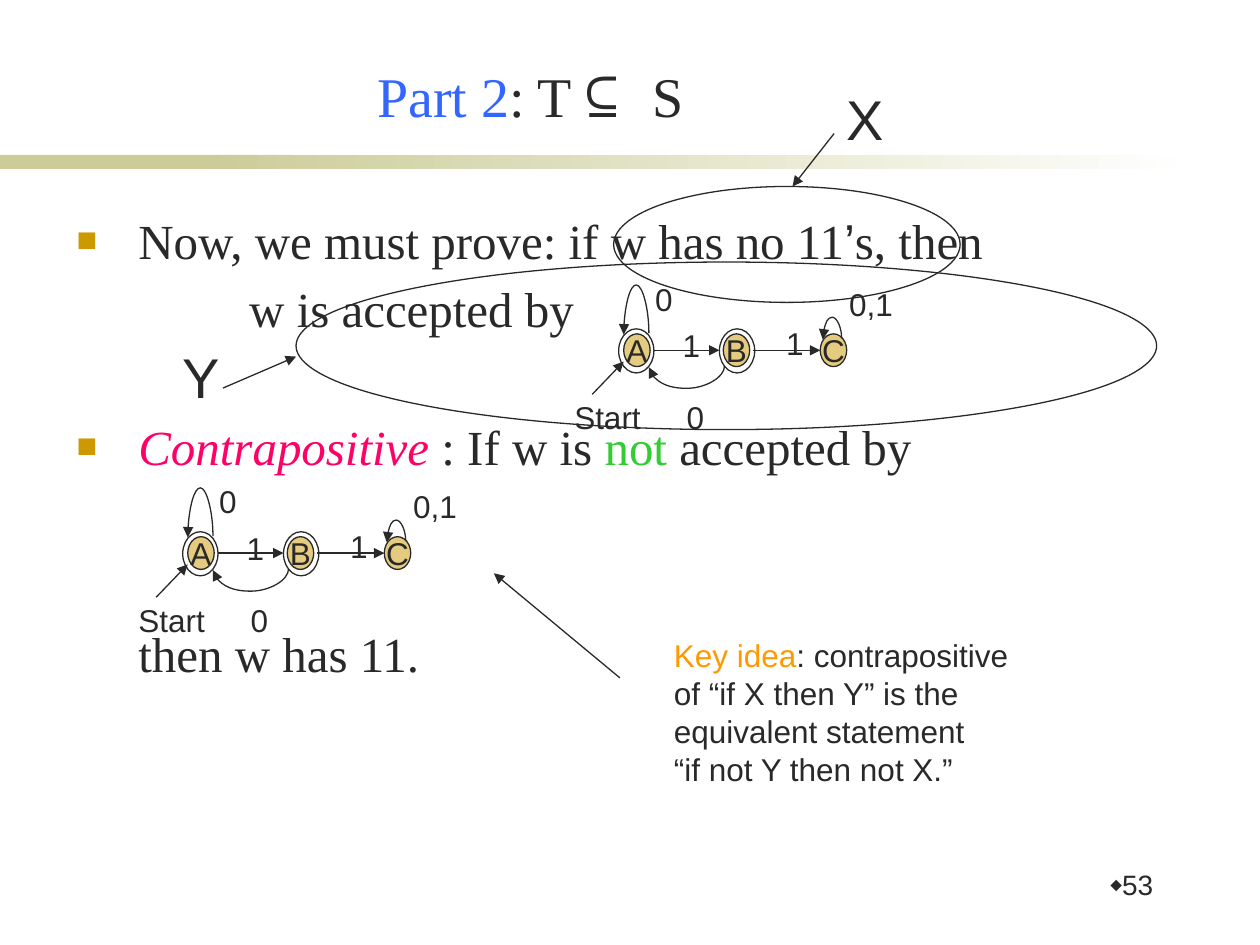
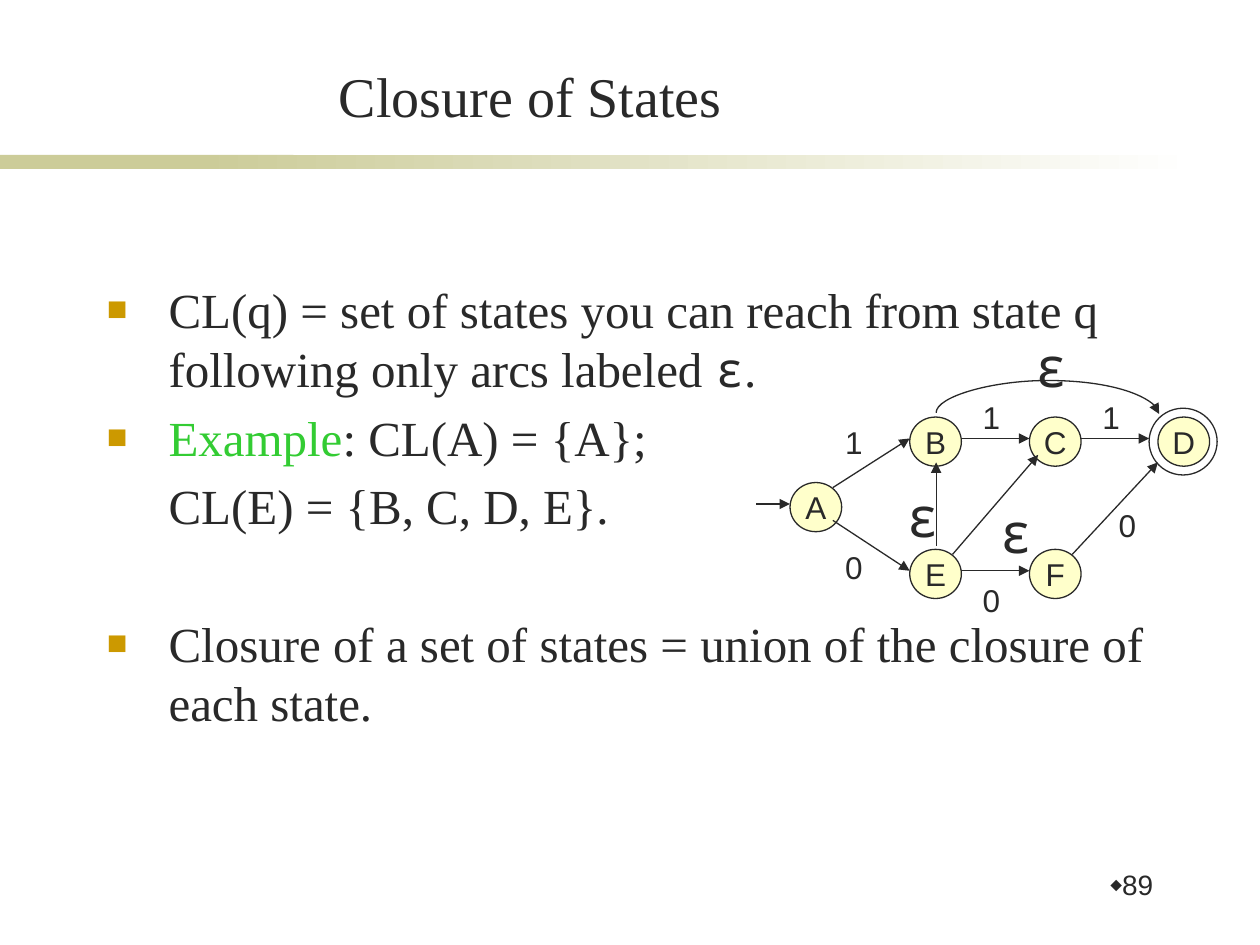
from lxml import etree
from pptx import Presentation
from pptx.dml.color import RGBColor
from pptx.enum import shapes as sh, text as tx
from pptx.oxml.ns import qn
from pptx.util import Inches, Pt

INK = RGBColor(0x29, 0x29, 0x29)
WHITE = RGBColor(0xFF, 0xFF, 0xFF)
SAND = RGBColor(0xCC, 0xCC, 0x99)
GOLD = RGBColor(0xCC, 0x99, 0x00)
CREAM = RGBColor(0xFF, 0xFF, 0x99)
BLUE = RGBColor(0x33, 0x66, 0xFF)
PINK = RGBColor(0xFF, 0x00, 0x66)
GREEN = RGBColor(0x33, 0xCC, 0x33)
AMBER = RGBColor(0xFF, 0x99, 0x00)
SERIF, SANS, MONO = "Times New Roman", "Arial", "Noto Sans Mono"
GAP, LINE = 5.6, 39.4  # space before a paragraph, and its full pitch
HANG = 0.49


def write(frame, paras, size, face=SANS, bullet=None):
    """Fill a frame; a paragraph is (runs, space before, left margin, bulleted),
    a run is (text, colour, font), where the last two may be left out."""
    for i, (runs, gap, left, dot) in enumerate(paras):
        par = frame.paragraphs[0] if i == 0 else frame.add_paragraph()
        par.space_before = Pt(gap)
        props = par._p.get_or_add_pPr()
        props.set("marL", str(Inches(left)))
        props.set("indent", str(Inches(-left if dot else 0)))
        if dot:
            char, hue, share = bullet
            tint = etree.SubElement(props, qn("a:buClr"))
            etree.SubElement(tint, qn("a:srgbClr"), val=str(hue))
            etree.SubElement(props, qn("a:buSzPct"), val=str(share * 1000))
            etree.SubElement(props, qn("a:buFont"), typeface=SANS)
            etree.SubElement(props, qn("a:buChar"), char=char)
        par.font.size, par.font.name = Pt(size), face
        par.font.color.rgb = INK
        for words, *look in runs:
            run = par.add_run()
            run.text = words
            if look:
                run.font.color.rgb = look[0]
                run.font.italic = True if look[0] == PINK else None
            if len(look) > 1:
                run.font.name = look[1]


def link(slide, x0, y0, x1, y1, bend=0):
    """Draw an arrow; a bend bows it downwards (or upwards if negative)."""
    kind = sh.MSO_CONNECTOR.CURVE if bend else sh.MSO_CONNECTOR.STRAIGHT
    arrow = slide.shapes.add_connector(
        kind, Inches(x0), Inches(y0), Inches(x1), Inches(y1))
    arrow.line.color.rgb, arrow.line.width = INK, Pt(0.75)
    etree.SubElement(arrow.line._get_or_add_ln(), qn("a:tailEnd"), type="triangle")
    props = arrow._element.spPr
    etree.SubElement(props, qn("a:effectLst"))
    if bend:
        # A thin upright connector, turned a quarter to lie flat
        thin, span = 0.01, abs(x1 - x0)
        form = props.find(qn("a:xfrm"))
        form.attrib.pop("flipH", None)
        form.set("rot", "5400000")
        if x0 < x1:
            form.set("flipV", "1")
        arrow.left, arrow.top = Inches((x0 + x1 - thin) / 2), Inches(y0 - span / 2)
        arrow.width, arrow.height = Inches(thin), Inches(span)
        geom = props.find(qn("a:prstGeom"))
        guides = geom.find(qn("a:avLst"))
        if guides is None:
            guides = etree.SubElement(geom, qn("a:avLst"))
        etree.SubElement(guides, qn("a:gd"), name="adj1",
                         fmla=f"val {round(bend / thin * 100000)}")


deck = Presentation()
deck.slide_width, deck.slide_height = Inches(10), Inches(7.5)
proof, close = [deck.slides.add_slide(deck.slide_layouts[6]) for _ in range(2)]

# Bands, title, body and page number
pages = [
    (proof, "53",
     [("Part 2", BLUE), (": T ",), ("⊆ ", INK, MONO), ("S",)],
     (0.51, 1.62, 8.9, 4.8),
     [([("Now, we must prove: if w has no 11",), ("’", INK, SANS), ("s, then",)],
       0, HANG, True),
      ([("w is accepted by",)], GAP, 1.37, False),
      ([("Contrapositive ", PINK), (": If w is ",), ("not", GREEN),
        (" accepted by",)], GAP + LINE, HANG, True),
      ([("then w has 11.",)], GAP + 2 * LINE, HANG, False)]),
    (close, "89",
     [("Closure of States",)],
     (0.75, 2.17, 8.5, 5),
     [([("CL(q) = set of states you can reach from state q following only "
         "arcs labeled ",), ("ε", INK, MONO), (".",)], 0, HANG, True),
      ([("Example", GREEN), (": CL(A) = {A};",)], GAP, HANG, True),
      ([("CL(E) = {B, C, D, E}.",)], GAP, HANG, False),
      ([("Closure of a set of states = union of the closure of each state.",)],
       GAP + LINE, HANG, True)]),
]
for slide, page, title, place, body in pages:
    for x, w in ((0, 2.33), (1.58, 7.92)):
        band = slide.shapes.add_shape(
            sh.MSO_SHAPE.RECTANGLE, Inches(x), Inches(1.23), Inches(w), Inches(0.11))
        band.shadow.inherit = False
        band.line.fill.background()
        if x:
            band.fill.gradient()
            band.fill.gradient_angle = 0
            for stop, hue in zip(band.fill.gradient_stops, (SAND, WHITE)):
                stop.color.rgb = hue
        else:
            band.fill.solid()
            band.fill.fore_color.rgb = SAND
    frames = []
    for spot in ((1.14, 0.44, 6.14, 0.63), place, (8.23, 6.87, 1.02, 0.5)):
        frame = slide.shapes.add_textbox(*map(Inches, spot)).text_frame
        frame.word_wrap = True
        frames.append(frame)
    head, main, foot = frames
    write(head, [(title, 0, 0, False)], 32, SERIF)
    head.vertical_anchor = tx.MSO_ANCHOR.BOTTOM
    head.paragraphs[0].alignment = tx.PP_ALIGN.CENTER
    write(main, body, 28, SERIF, ("■", GOLD, 70))
    write(foot, [([(page,)], 0, 0, True)], 16, SANS, ("⬥", INK, 60))
    foot.paragraphs[0].alignment = tx.PP_ALIGN.RIGHT
    foot.paragraphs[0].line_spacing = 0.9

# Ovals: slide, left, top, width, height, letter, fill
ovals = [(proof, 4.87, 1.48, 2.75, 0.92, "", None),
         (proof, 2.35, 2.08, 6.83, 1.33, "", None),
         (close, 9.12, 3.24, 0.54, 0.53, "", None)]
# Labels: slide, left, top, width, words, size, font
labels = [(proof, 6.62, 0.62, 0.46, "X", 32, SANS),
          (proof, 1.35, 2.67, 0.46, "Y", 32, SANS)]
# Arrows: slide, start, end, bend
arrows = [(proof, 4.92, 5.38, 3.92, 4.55),
          (proof, 6.62, 1.06, 6.29, 1.48),
          (proof, 1.77, 3.08, 2.35, 2.83)]

# The same automaton twice on the proof slide
for x, y in ((4.46, 2.17), (1, 3.78)):
    ovals += [(proof, x + dx, y + 0.48, 0.21, 0.26, name, GOLD)
              for name, dx in (("A", 0.49), ("B", 1.28), ("C", 2.05))]
    ovals += [(proof, x + dx, y + 0.44, 0.28, 0.35, "", None) for dx in (0.45, 1.25)]
    labels += [(proof, x + dx, y + dy, w, words, 18, SANS)
               for words, dx, dy, w in (
                   ("Start", 0, 0.94, 0.9), ("1", 0.86, 0.37, 0.38),
                   ("0", 0.89, 0.94, 0.38), ("1", 1.68, 0.35, 0.38),
                   ("0", 0.64, 0, 0.38), ("0,1", 2.18, 0.04, 0.67))]
    arrows += [(proof, x + x0, y + y0, x + x1, y + y1, *bend)
               for x0, y0, x1, y1, *bend in (
                   (0.24, 0.96, 0.49, 0.7), (0.73, 0.61, 1.25, 0.61),
                   (1.52, 0.61, 2.05, 0.61), (0.69, 0.48, 0.49, 0.48, -0.39),
                   (1.29, 0.74, 0.69, 0.74, 0.18), (2.22, 0.52, 2.07, 0.52, -0.17))]

# The automaton on the closure slide
ovals += [(close, x, y, 0.41, 0.39, name, CREAM)
          for name, x, y in (("A", 6.27, 3.83), ("B", 7.22, 3.31), ("C", 8.17, 3.31),
                             ("D", 9.19, 3.31), ("E", 7.22, 4.36), ("F", 8.17, 4.36))]
labels += [(close, x, y, 0.38, words, 18, SANS)
           for words, x, y in (("1", 6.61, 3.31), ("1", 7.7, 3.11), ("1", 8.65, 3.11),
                               ("0", 6.61, 4.3), ("0", 8.78, 3.97), ("0", 7.7, 4.56))]
labels += [(close, x, y, 0.44, "ε", 32, MONO)
           for x, y in ((8.11, 2.58), (7.09, 3.77), (7.83, 3.9))]
arrows += [(close, *ends) for ends in (
    (6, 4, 6.27, 4), (6.61, 3.87, 7.22, 3.48), (6.61, 4.13, 7.22, 4.53),
    (7.63, 3.48, 8.17, 3.48), (7.43, 4.33, 7.43, 3.67), (7.56, 4.4, 8.24, 3.61),
    (7.63, 4.53, 8.17, 4.53), (8.58, 3.48, 9.12, 3.48), (8.51, 4.4, 9.19, 3.67),
    (7.43, 3.28, 9.2, 3.28, -0.26))]

for slide, x, y, w, h, name, fill in ovals:
    oval = slide.shapes.add_shape(
        sh.MSO_SHAPE.OVAL, Inches(x), Inches(y), Inches(w), Inches(h))
    oval.shadow.inherit = False
    oval.line.color.rgb, oval.line.width = INK, Pt(0.75)
    if not name:
        oval.fill.background()
        continue
    oval.fill.solid()
    oval.fill.fore_color.rgb = fill
    tint = oval._element.spPr.find(qn("a:solidFill"))[0]
    etree.SubElement(tint, qn("a:alpha"), val="50000")
    frame = oval.text_frame
    frame.word_wrap = False
    frame.vertical_anchor = tx.MSO_ANCHOR.MIDDLE
    write(frame, [([(name, INK)], 0, 0, False)], 18)
    frame.paragraphs[0].alignment = tx.PP_ALIGN.CENTER

for slide, x, y, w, words, size, face in labels:
    tag = slide.shapes.add_textbox(
        Inches(x), Inches(y), Inches(w), Inches(0.5 if size == 18 else 0.63))
    tag.text_frame.word_wrap = False
    write(tag.text_frame, [([(words,)], 0, 0, False)], size, face)

for arrow in arrows:
    link(*arrow)

note = proof.shapes.add_textbox(Inches(5.25), Inches(5), Inches(3.72), Inches(1.7))
note.text_frame.word_wrap = True
lines = [[("Key idea", AMBER), (": contrapositive",)],
         [("of “if X then Y” is the",)],
         [("equivalent statement",)],
         [("“if not Y then not X.”",)]]
write(note.text_frame, [(runs, 0, 0, False) for runs in lines], 18)

deck.save("out.pptx")
